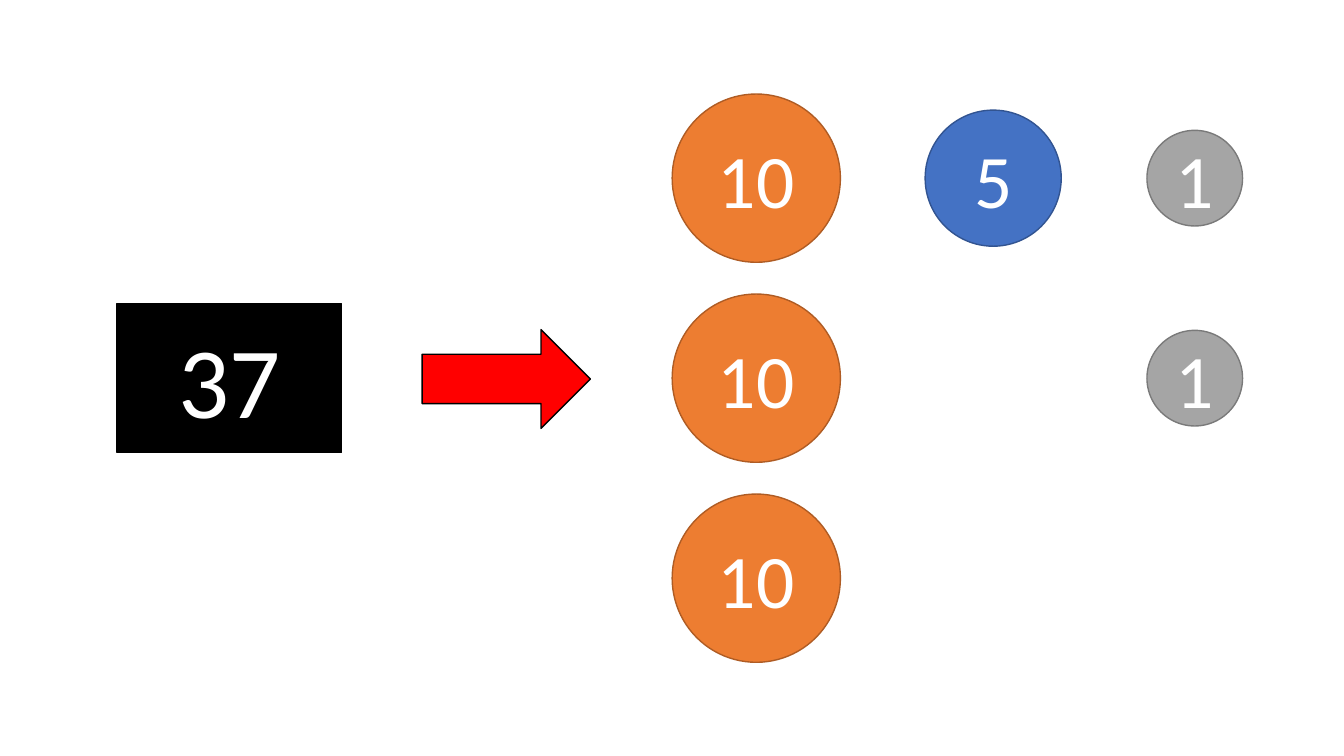
from pptx import Presentation
from pptx.dml.color import RGBColor
from pptx.enum.shapes import MSO_SHAPE
from pptx.enum.text import MSO_ANCHOR, PP_ALIGN
from pptx.util import Cm, Pt

OVAL = MSO_SHAPE.OVAL
RECTANGLE = MSO_SHAPE.RECTANGLE
RIGHT_ARROW = MSO_SHAPE.RIGHT_ARROW
MIDDLE = MSO_ANCHOR.MIDDLE
CENTER = PP_ALIGN.CENTER

COLORS = {
    "orange": "ED7D31",
    "orange_edge": "AF5C24",
    "blue": "4472C4",
    "blue_edge": "325491",
    "gray": "A5A5A5",
    "gray_edge": "7A7A7A",
    "black": "000000",
    "red": "FF0000",
    "white": "FFFFFF",
}

presentation = Presentation()
presentation.slide_width = Cm(33.87)
presentation.slide_height = Cm(19.05)
slide = presentation.slides.add_slide(presentation.slide_layouts[6])


def add_centered_shape(kind, center_x, center_y, width, height, fill, edge):
    shape = slide.shapes.add_shape(
        kind, Cm(center_x - width / 2), Cm(center_y - height / 2), Cm(width), Cm(height)
    )
    shape.shadow.inherit = False
    shape.fill.solid()
    shape.fill.fore_color.rgb = RGBColor.from_string(COLORS[fill])
    shape.line.color.rgb = RGBColor.from_string(COLORS[edge])
    shape.line.width = Pt(1)
    return shape


def add_number(shape, number, size):
    shape.text_frame.vertical_anchor = MIDDLE
    paragraph = shape.text_frame.paragraphs[0]
    paragraph.alignment = CENTER
    run = paragraph.add_run()
    run.text = str(number)
    run.font.name = "Calibri"
    run.font.size = Pt(size)
    run.font.color.rgb = RGBColor.from_string(COLORS["white"])


FIRST_ROW = 4.49
ROW_STEP = 5.04
MIDDLE_ROW = FIRST_ROW + ROW_STEP

amount = add_centered_shape(RECTANGLE, 5.78, MIDDLE_ROW, 5.66, 3.76, "black", "black")
add_number(amount, 37, 72)

add_centered_shape(RIGHT_ARROW, 12.76, 9.55, 4.24, 2.49, "red", "black")

coin_columns = [
    (10, 3, 19.06, 4.24, "orange"),
    (5, 1, 25.03, 3.43, "blue"),
    (1, 2, 30.11, 2.41, "gray"),
]
for value, count, center_x, diameter, color in coin_columns:
    for row in range(count):
        center_y = FIRST_ROW + row * ROW_STEP
        coin = add_centered_shape(
            OVAL, center_x, center_y, diameter, diameter, color, f"{color}_edge"
        )
        add_number(coin, value, 54)

presentation.save("out.pptx")
